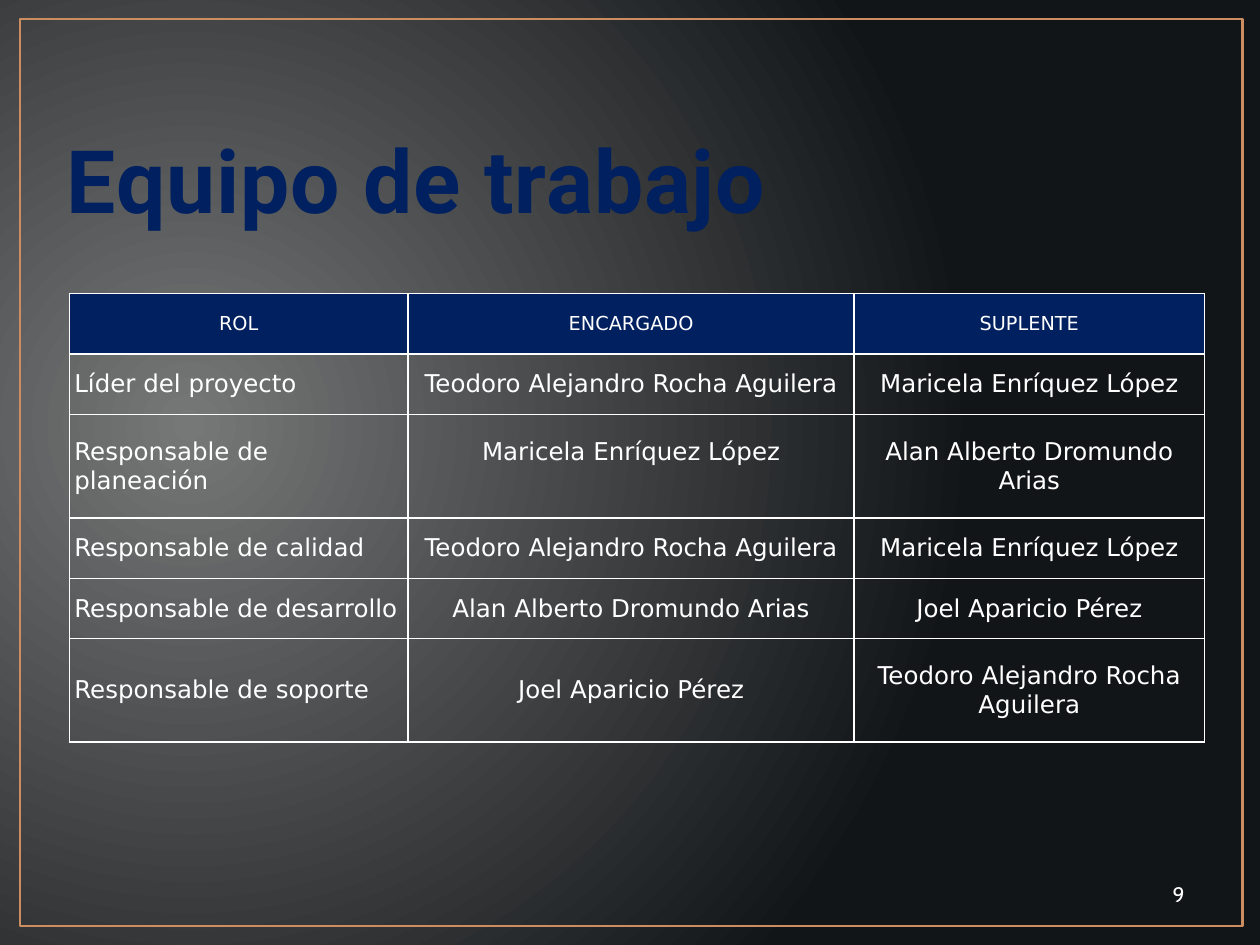
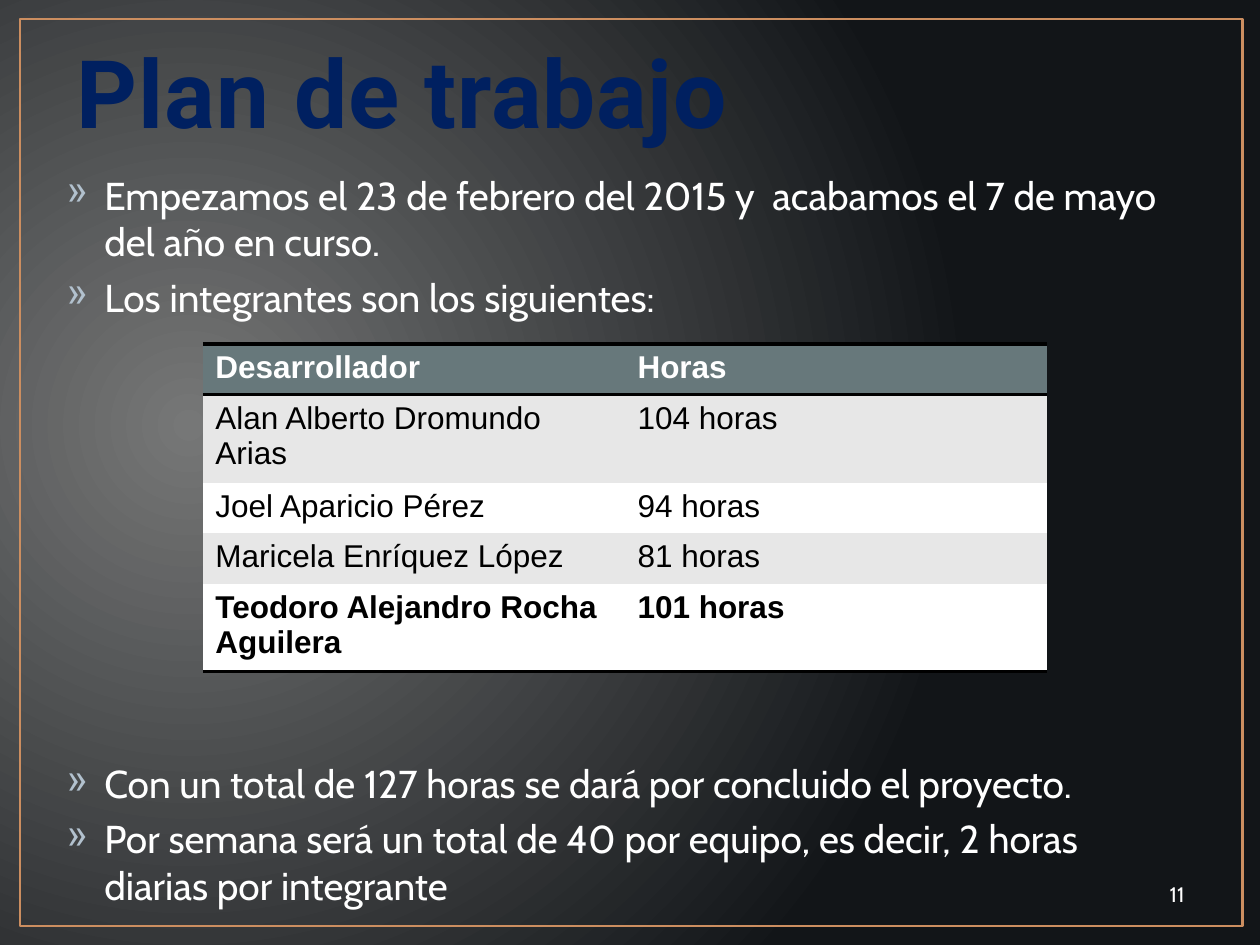
from lxml.etree import SubElement
from pptx import Presentation
from pptx.dml.color import RGBColor
from pptx.enum.shapes import MSO_SHAPE
from pptx.enum.text import MSO_ANCHOR, MSO_AUTO_SIZE, PP_ALIGN
from pptx.oxml import parse_xml
from pptx.oxml.ns import nsdecls, qn
from pptx.util import Inches, Pt

# Colours
WHITE = RGBColor(0xFF, 0xFF, 0xFF)
BLACK = RGBColor(0x00, 0x00, 0x00)
NAVY = RGBColor(0x00, 0x20, 0x60)
SKY = RGBColor(0x00, 0xB0, 0xF0)
COPPER = RGBColor(0xCC, 0x8E, 0x60)
SLATE = RGBColor(0x67, 0x78, 0x7B)
PALE_GREY = RGBColor(0xE7, 0xE7, 0xE7)
BULLET_BLUE = RGBColor(0xB2, 0xC1, 0xCE)
GLOW = RGBColor(0x76, 0x77, 0x77)
NIGHT = RGBColor(0x12, 0x15, 0x18)

# Fonts
TITLE_FONT = "Roboto"
BODY_FONT = "Cabin"
TEAM_FONT = "DejaVu Sans"
HOURS_FONT = "Arial"

# Grid: 100 columns by 75 rows on a 10 by 7.5 inch slide
SLIDE_WIDTH, SLIDE_HEIGHT = Inches(10), Inches(7.5)
COLUMNS, ROWS = 100, 75
NO_STYLE_TABLE = "{2D5ABB26-0587-4C30-8999-92F81FD0307C}"

# People and content
ALAN = "Alan Alberto Dromundo Arias"
JOEL = "Joel Aparicio Pérez"
MARICELA = "Maricela Enríquez López"
TEODORO = "Teodoro Alejandro Rocha Aguilera"

TEAM = [
    ("ROL", "ENCARGADO", "SUPLENTE"),
    ("Líder del proyecto", TEODORO, MARICELA),
    ("Responsable de planeación", MARICELA, ALAN),
    ("Responsable de calidad", TEODORO, MARICELA),
    ("Responsable de desarrollo", ALAN, JOEL),
    ("Responsable de soporte", JOEL, TEODORO),
]
HOURS = [
    ("Desarrollador", "Horas"),
    (ALAN, "104 horas"),
    (JOEL, "94 horas"),
    (MARICELA, "81 horas"),
    (TEODORO, "101 horas"),
]
OPENING_POINTS = [
    "Empezamos el 23 de febrero del 2015 y  acabamos el 7 de mayo del año en curso.",
    "Los integrantes son los siguientes:",
]
CLOSING_POINTS = [
    "Con un total de 127 horas se dará por concluido el proyecto.",
    "Por semana será un total de 40 por equipo, es decir, "
    "2 horas diarias por integrante",
]


def across(columns):
    return round(SLIDE_WIDTH * columns / COLUMNS)


def down(rows):
    return round(SLIDE_HEIGHT * rows / ROWS)


def line_xml(tag, color, points):
    return parse_xml(
        f'<a:{tag} {nsdecls("a")} w="{Pt(points)}"><a:solidFill>'
        f'<a:srgbClr val="{color}"/></a:solidFill></a:{tag}>'
    )


class Deck:
    """Holds the shared style and the slide being built."""

    def __init__(self):
        self.presentation = Presentation()
        self.presentation.slide_width = SLIDE_WIDTH
        self.presentation.slide_height = SLIDE_HEIGHT
        self.slide = None
        self.paint_background()

    def paint_background(self):
        master = self.presentation.slide_master
        fill = master.background.fill
        fill.gradient()
        for stop, color, position in zip(fill.gradient_stops, (GLOW, NIGHT), (0, 1)):
            stop.color.rgb = color
            stop.position = position
        gradient = master.element.find(".//" + qn("a:gradFill"))
        gradient.remove(gradient.find(qn("a:lin")))
        circle = SubElement(gradient, qn("a:path"), {"path": "circle"})
        SubElement(circle, qn("a:fillToRect"),
                   {"l": "15000", "t": "50000", "r": "85000", "b": "60000"})

    def new_slide(self, title, title_size, left, top, number):
        layout = self.presentation.slide_layouts.get_by_name("Title Only")
        self.slide = self.presentation.slides.add_slide(layout)
        self.frame()
        self.title(title, title_size, left, top)
        self.page_number(number)

    def frame(self):
        shape = self.slide.shapes.add_shape(
            MSO_SHAPE.RECTANGLE, across(1.6), down(1.5), across(97), down(72))
        shape.shadow.inherit = False
        shape.fill.background()
        shape.line.color.rgb = COPPER
        shape.line.width = Pt(1.5)

    def add_run(self, paragraph, text, font, size, color, bold=False):
        run = paragraph.add_run()
        run.text = text
        run.font.name = font
        run.font.size = Pt(size)
        run.font.color.rgb = color
        run.font.bold = bold
        return run

    def title(self, text, size, left, top):
        shape = self.slide.shapes.title
        shape.left, shape.top = across(left), down(top)
        shape.width, shape.height = across(90), down(8.6)
        text_frame = shape.text_frame
        text_frame.auto_size = MSO_AUTO_SIZE.NONE
        text_frame.vertical_anchor = MSO_ANCHOR.BOTTOM
        paragraph = text_frame.paragraphs[0]
        paragraph.alignment = PP_ALIGN.LEFT
        run = self.add_run(paragraph, text, TITLE_FONT, size, NAVY, True)
        properties = run.font._element
        properties.set("spc", "50")
        properties.insert(0, line_xml("ln", SKY, 1.05))

    def text_box(self, left, top, width, height):
        shape = self.slide.shapes.add_textbox(
            across(left), down(top), across(width), down(height))
        shape.text_frame.word_wrap = True
        return shape.text_frame

    def page_number(self, number):
        text_frame = self.text_box(71.7, 69, 23.3, 4)
        text_frame.vertical_anchor = MSO_ANCHOR.MIDDLE
        paragraph = text_frame.paragraphs[0]
        paragraph.alignment = PP_ALIGN.RIGHT
        self.add_run(paragraph, str(number), BODY_FONT, 12, WHITE)

    def bullets(self, points, top):
        text_frame = self.text_box(4.3, top, 90, 13)
        for index, point in enumerate(points):
            paragraph = text_frame.paragraphs[0] if index == 0 else text_frame.add_paragraph()
            paragraph.space_before = Pt(5)
            properties = paragraph._p.get_or_add_pPr()
            properties.set("marL", str(across(3)))
            properties.set("indent", str(-across(3)))
            bullet_color = SubElement(properties, qn("a:buClr"))
            SubElement(bullet_color, qn("a:srgbClr"), {"val": str(BULLET_BLUE)})
            SubElement(properties, qn("a:buChar"), {"char": "»"})
            self.add_run(paragraph, point, BODY_FONT, 22.2, WHITE)

    def table(self, data, left, top, widths, heights):
        graphic = self.slide.shapes.add_table(
            len(data), len(widths), across(left), down(top),
            across(sum(widths)), down(sum(heights)))
        table = graphic.table
        table._tbl.tblPr.find(qn("a:tableStyleId")).text = NO_STYLE_TABLE
        for column, width in zip(table.columns, widths):
            column.width = across(width)
        for row, height in zip(table.rows, heights):
            row.height = down(height)
        return table

    def cell(self, cell, text, font, size, color, fill=None, bold=False,
             align=PP_ALIGN.LEFT):
        if fill is None:
            cell.fill.background()
        else:
            cell.fill.solid()
            cell.fill.fore_color.rgb = fill
        paragraph = cell.text_frame.paragraphs[0]
        paragraph.alignment = align
        self.add_run(paragraph, text, font, size, color, bold)

    def borders(self, cell, sides, color, points):
        properties = cell._tc.get_or_add_tcPr()
        for index, side in enumerate(sides):
            properties.insert(index, line_xml("ln" + side, color, points))


def build_team_slide(deck):
    deck.new_slide("Equipo de trabajo", 50, 4.3, 10.2, 9)
    table = deck.table(TEAM, 5.5, 23.3, (26.9, 35.4, 27.8),
                       (4.8, 4.8, 8.2, 4.8, 4.8, 8.2))
    for row, texts in enumerate(TEAM):
        header = row == 0
        for column, text in enumerate(texts):
            cell = table.cell(row, column)
            cell.vertical_anchor = MSO_ANCHOR.MIDDLE
            cell.margin_left = cell.margin_right = across(0.4)
            cell.margin_top = cell.margin_bottom = down(0.4)
            centred = header or column > 0
            deck.cell(cell, text, TEAM_FONT, 11 if header else 14, WHITE,
                      fill=NAVY if header else None,
                      align=PP_ALIGN.CENTER if centred else PP_ALIGN.LEFT)
            deck.borders(cell, "LRTB", WHITE, 1)
    # The planning lead lines up with the first line of its neighbours
    table.cell(2, 1).margin_bottom = down(2.7)


def build_plan_slide(deck):
    deck.new_slide("Plan de trabajo", 54, 5.1, 3.6, 11)
    deck.bullets(OPENING_POINTS, 13.1)
    table = deck.table(HOURS, 16.1, 27.3, (33.5, 33.5), (3.8, 6.5, 3.8, 3.8, 6.5))
    last = len(HOURS) - 1
    for row, texts in enumerate(HOURS):
        band = SLATE if row == 0 else PALE_GREY if row % 2 else WHITE
        for column, text in enumerate(texts):
            cell = table.cell(row, column)
            deck.cell(cell, text, HOURS_FONT, 18, BLACK if row else WHITE,
                      fill=band, bold=row in (0, last))
            if row in (0, last):
                deck.borders(cell, "B" if row else "TB", BLACK, 2)
    deck.bullets(CLOSING_POINTS, 59.8)


def main():
    deck = Deck()
    build_team_slide(deck)
    build_plan_slide(deck)
    deck.presentation.save("out.pptx")


if __name__ == "__main__":
    main()
